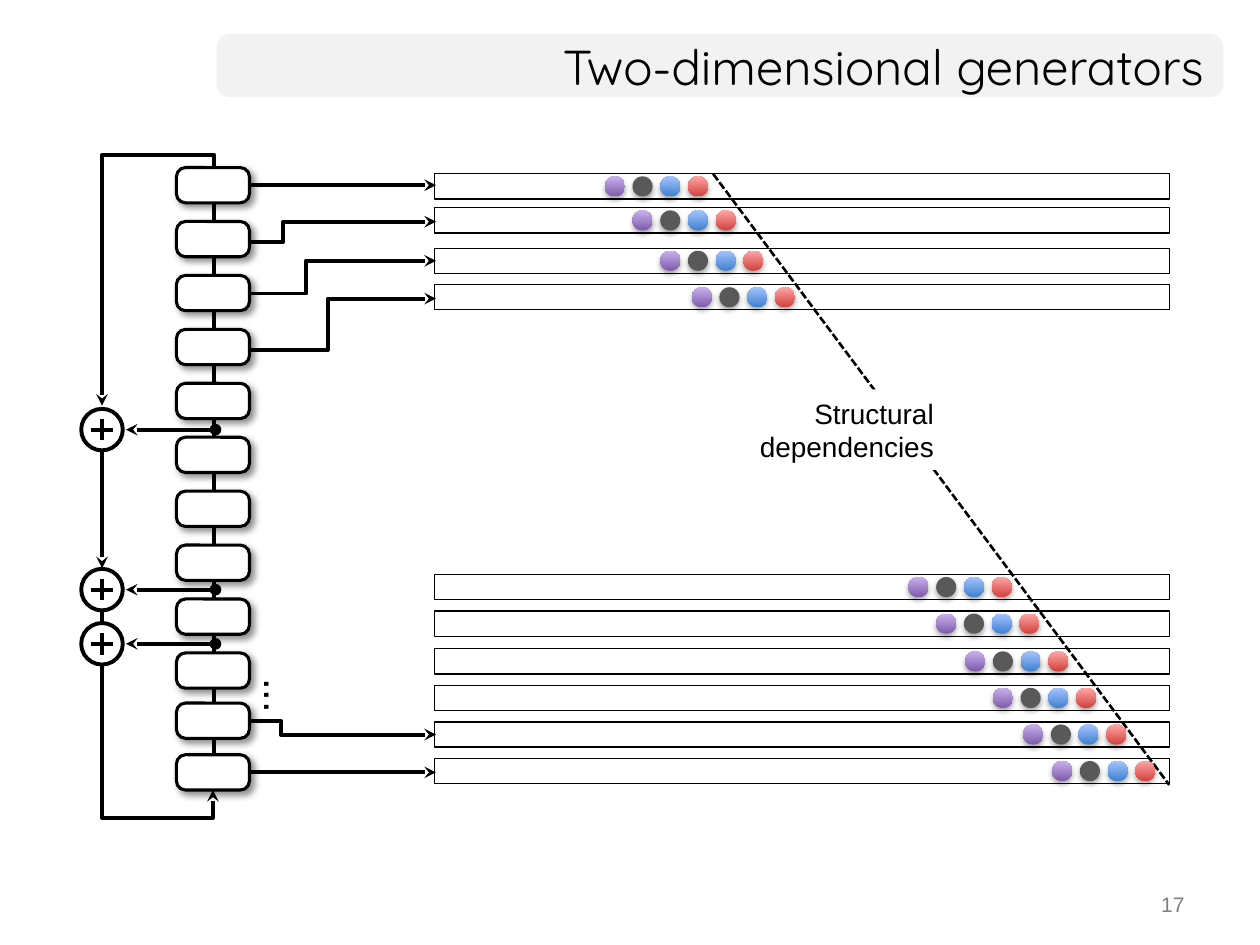
from lxml import etree
from pptx import Presentation
from pptx.dml.color import RGBColor
from pptx.enum.dml import MSO_LINE
from pptx.enum.shapes import MSO_CONNECTOR, MSO_SHAPE
from pptx.enum.text import MSO_ANCHOR, PP_ALIGN
from pptx.oxml.ns import qn
from pptx.util import Inches, Pt

STRAIGHT = MSO_CONNECTOR.STRAIGHT
RECT, ROUNDED, OVAL = MSO_SHAPE.RECTANGLE, MSO_SHAPE.ROUNDED_RECTANGLE, MSO_SHAPE.OVAL
DOTTED = MSO_LINE.SQUARE_DOT
MIDDLE = MSO_ANCHOR.MIDDLE
RIGHT, CENTER = PP_ALIGN.RIGHT, PP_ALIGN.CENTER

COLORS = {
    "ink": "000000", "paper": "FFFFFF", "title_bar": "F2F2F2",
    "page_number": "808080", "gray": "595959",
    "purple_dark": "7F5BAB", "purple_light": "C8B0ED",
    "blue_dark": "3F80CE", "blue_light": "A4C4FF",
    "red_dark": "D1403C", "red_light": "FFA6A5",
}
DOT_FILLS = [("purple_dark", "purple_light"), ("gray",),
             ("blue_dark", "blue_light"), ("red_dark", "red_light")]
WIRE = 2.25

# (top, left of the first dot) of each output sequence
SEQUENCES = [(1.38, 4.80), (1.65, 5.02), (1.97, 5.24), (2.26, 5.49),
             (4.56, 7.21), (4.85, 7.43), (5.15, 7.66), (5.44, 7.88),
             (5.73, 8.12), (6.02, 8.35)]
CELL_TOPS = [1.33 + 0.428 * i for i in range(10)] + [5.58, 5.99]
ADDER_CENTERS = [3.41, 4.68, 5.11]


def rgb(name):
    return RGBColor.from_string(COLORS[name])


def set_line(line, width, head=None, tail=None):
    line.color.rgb = rgb("ink")
    line.width = Pt(width)
    for tag, kind in (("a:headEnd", head), ("a:tailEnd", tail)):
        if kind:
            etree.SubElement(line._get_or_add_ln(), qn(tag), type=kind)


def add_line(shapes, start, end, width=WIRE, head=None, tail=None):
    line = shapes.add_connector(STRAIGHT, *map(Inches, start + end))
    set_line(line.line, width, head, tail)
    etree.SubElement(line._element.spPr, qn("a:effectLst"))
    return line


def add_wire(shapes, points):
    """Draw an angled wire that ends in an arrowhead."""
    corners = [(Inches(x), Inches(y)) for x, y in points]
    builder = shapes.build_freeform(*corners[0])
    builder.add_line_segments(corners[1:], close=False)
    wire = builder.convert_to_shape()
    wire.shadow.inherit = False
    wire.fill.background()
    set_line(wire.line, WIRE, tail="stealth")


def add_box(shapes, kind, box, fill=None, line_width=None):
    shape = shapes.add_shape(kind, *map(Inches, box))
    shape.shadow.inherit = False
    if fill:
        shape.fill.solid()
        shape.fill.fore_color.rgb = rgb(fill)
    else:
        shape.fill.background()
    if line_width:
        set_line(shape.line, line_width)
    else:
        shape.line.fill.background()
    return shape


def add_shadow(shape, opacity, blur, distance, angle):
    effects = shape._element.spPr.find(qn("a:effectLst"))
    outer = etree.SubElement(
        effects, qn("a:outerShdw"), blurRad=str(Pt(blur)), dist=str(Pt(distance)),
        dir=str(angle * 60000), algn="ctr", rotWithShape="0")
    color = etree.SubElement(outer, qn("a:srgbClr"), val=COLORS["ink"])
    etree.SubElement(color, qn("a:alpha"), val=str(opacity * 1000))


def write(shape, lines, size, align, font="Arial", color="ink", wrap=True):
    frame = shape.text_frame
    frame.word_wrap = wrap
    frame.vertical_anchor = MIDDLE
    for i, text in enumerate(lines):
        paragraph = frame.add_paragraph() if i else frame.paragraphs[0]
        paragraph.alignment = align
        run = paragraph.add_run()
        run.text = text
        run.font.size = Pt(size)
        run.font.name = font
        run.font.color.rgb = rgb(color)


def add_title(shapes, box):
    left, top, width, height = box
    bar = add_box(shapes, ROUNDED, box, "title_bar")
    bar.adjustments[0] = 0.21
    title = shapes.add_textbox(*map(Inches, (left, top, width - 0.06, height)))
    write(title, ["Two-dimensional generators"], 28, RIGHT, font="Quicksand")


def add_page_number(shapes, box):
    number = shapes.add_textbox(*map(Inches, box))
    write(number, ["17"], 12, RIGHT, color="page_number")


def add_output_wires(shapes, cell_x, sequence_x):
    """Join register cells to the sequences they feed."""
    for y in (1.47, 6.13):
        add_line(shapes, (cell_x, y), (sequence_x, y), tail="stealth")
    for bend_x, cell_y, sequence_y in [(2.25, 1.92, 1.76), (2.43, 2.33, 2.07),
                                       (2.60, 2.78, 2.37), (2.23, 5.72, 5.83)]:
        add_wire(shapes, [(cell_x, cell_y), (bend_x, cell_y),
                          (bend_x, sequence_y), (sequence_x, sequence_y)])


def add_adder(shapes, x, y, radius=0.165, arm=0.085):
    adder = shapes.add_group_shape().shapes
    add_box(adder, OVAL, (x - radius, y - radius, 2 * radius, 2 * radius), "paper", WIRE)
    add_line(adder, (x - arm, y), (x + arm, y))
    add_line(adder, (x, y - arm), (x, y + arm))


def add_register(shapes, box):
    """Draw the shift register with its feedback loop and adders."""
    left, top, width, height = box
    loop_x = left + 0.16
    spine_x = left + 1.05
    bottom = top + height
    add_line(shapes, (loop_x, ADDER_CENTERS[0]), (loop_x, 4.51), tail="stealth")
    add_wire(shapes, [(spine_x, bottom - 0.26), (spine_x, top), (loop_x, top),
                      (loop_x, ADDER_CENTERS[0] - 0.19)])
    add_wire(shapes, [(loop_x, 4.61), (loop_x, bottom), (spine_x - 0.01, bottom),
                      (spine_x - 0.01, bottom - 0.22)])
    for y in ADDER_CENTERS:
        add_adder(shapes, loop_x, y)
        add_line(shapes, (spine_x + 0.01, y), (loop_x + 0.19, y),
                 head="oval", tail="stealth")
    cell_width = 0.58
    for y in reversed(CELL_TOPS):
        cell = add_box(shapes, ROUNDED, (left + width - cell_width, y, cell_width, 0.28),
                       "paper", 1.75)
        cell.adjustments[0] = 0.26
        add_shadow(cell, 43, 4, 3, 45)


def add_ellipsis(shapes, box):
    ellipsis = shapes.add_textbox(*map(Inches, box))
    ellipsis.rotation = 90
    write(ellipsis, ["..."], 24, CENTER, wrap=False)


def add_dependency(shapes, box):
    """Draw the dotted diagonal and the label that interrupts it."""
    left, top, width, height = box
    diagonal = add_line(shapes, (left, top), (left + width, top + height), 1.5)
    diagonal.line.dash_style = DOTTED
    label = add_box(shapes, RECT, (left + 0.25, top + 1.71, 1.6, 0.64), "paper")
    write(label, ["Structural", "dependencies"], 16, RIGHT, wrap=False)


def add_dots(shapes, left, top, size=0.16, pitch=0.22):
    dots = shapes.add_group_shape().shapes
    for i, tones in enumerate(DOT_FILLS):
        dot = add_box(dots, OVAL, (left + i * pitch, top, size, size), tones[0])
        if len(tones) == 2:
            dot.fill.gradient()
            dot.fill.gradient_angle = 90
            for stop, tone in zip(dot.fill.gradient_stops, tones):
                stop.color.rgb = rgb(tone)
        add_shadow(dot, 35, 3.1, 1.8, 90)


def add_sequence(shapes, box, dots_left):
    add_box(shapes, RECT, box, line_width=0.75)
    add_dots(shapes, dots_left, box[1] + 0.02)


def main():
    deck = Presentation()
    deck.slide_width, deck.slide_height = Inches(10), Inches(7.5)
    shapes = deck.slides.add_slide(deck.slide_layouts[6]).shapes
    add_title(shapes, (1.72, 0.27, 7.99, 0.5))
    add_page_number(shapes, (7.17, 7, 2.33, 0.35))
    add_output_wires(shapes, 1.78, 3.46)
    add_dependency(shapes, (5.66, 1.38, 3.62, 4.85))
    add_ellipsis(shapes, (1.94, 5.27, 0.58, 0.5))
    add_register(shapes, (0.65, 1.23, 1.33, 5.26))
    for top, dots_left in SEQUENCES:
        add_sequence(shapes, (3.45, top, 5.83, 0.2), dots_left)
    deck.save("out.pptx")


if __name__ == "__main__":
    main()
